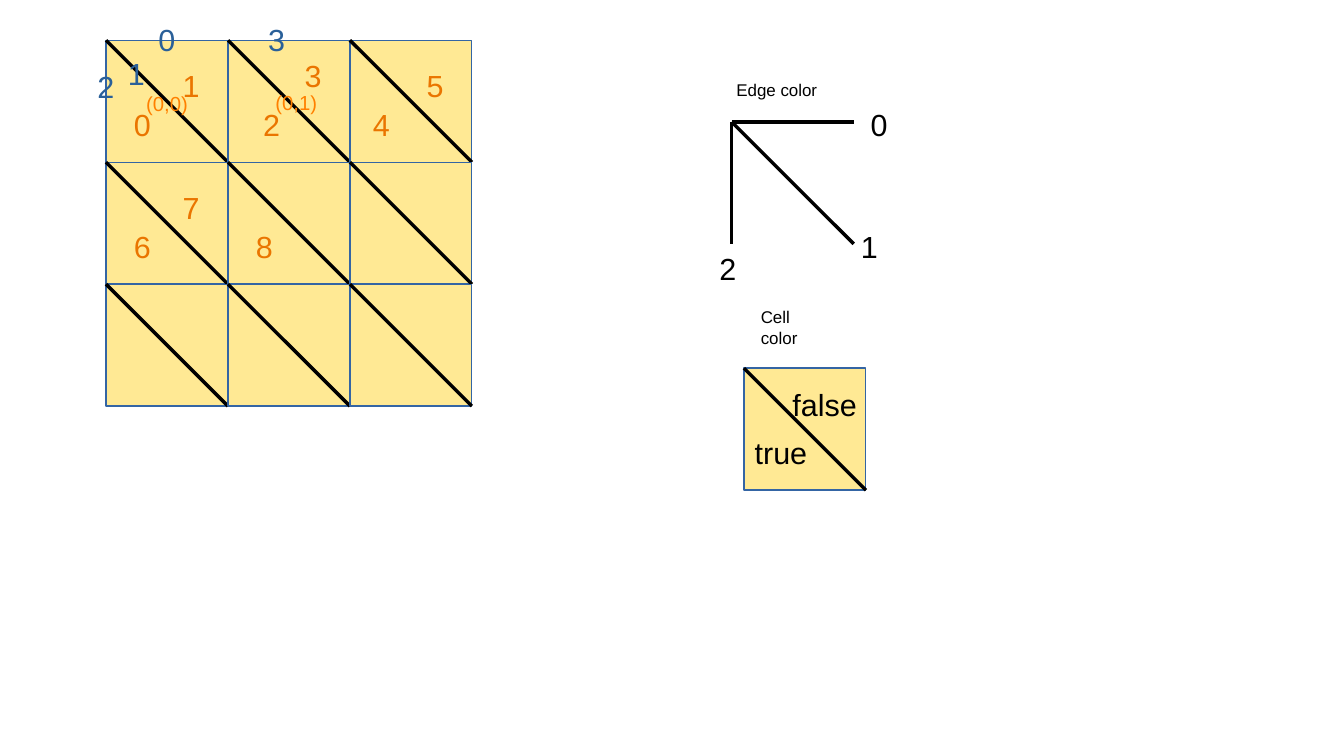
"""Draws a grid of split cells with numbered triangles and the edge and cell color keys."""
from itertools import product

from pptx import Presentation
from pptx.dml.color import RGBColor
from pptx.enum.shapes import MSO_CONNECTOR, MSO_SHAPE
from pptx.enum.text import MSO_ANCHOR, MSO_AUTO_SIZE
from pptx.oxml.ns import qn
from pptx.util import Pt

CELL = 72
GRID_LEFT, GRID_TOP = 62.6, 23.8
KEY_LEFT, KEY_TOP = 432, 72
SAMPLE_LEFT, SAMPLE_TOP = 439.2, 217.4
BLACK, ORANGE, BRIGHT_ORANGE, BLUE = "000000", "EA7500", "FF8000", "2A6099"
DIGIT_WIDTH = 24.5

CELL_NUMBERS = [
    ("0", 72, 59), ("1", 100.8, 36), ("2", 148.3, 59),
    ("3", 172.8, 30.2), ("4", 213.1, 59), ("5", 244.8, 36),
    ("6", 72, 131), ("7", 100.8, 108), ("8", 144, 131),
]
EDGE_NUMBERS = [("0", 86.4, 8.6), ("2", 50.4, 36.7), ("1", 68.4, 28.8), ("3", 151.2, 8.6)]
KEY_EDGES = [(CELL, 0), (CELL, CELL), (0, CELL)]
KEY_NUMBERS = [("0", 506.9, 59), ("1", 501.1, 131), ("2", 417.6, 144)]
COORDINATES = [("(0,0)", 79.2, 50.4), ("(0,1)", 155.5, 49.7)]
CAPTIONS = [("Edge color", 427.7, 44.6, 61.9), ("Cell color", 442.1, 190.8, 55.4)]
SAMPLE_VALUES = [("false", 460.8, 224.6, 52.6), ("true", 438.5, 252.7, 45.4)]


def color(value):
    return RGBColor.from_string(value)


def add_edge(slide, left, top, across, down):
    edge = slide.shapes.add_connector(
        MSO_CONNECTOR.STRAIGHT, Pt(left), Pt(top), Pt(left + across), Pt(top + down))
    edge.line.color.rgb = color(BLACK)
    edge.line.width = Pt(0)
    properties = edge._element.spPr
    properties.append(properties.makeelement(qn("a:effectLst"), {}))


def add_cell(slide, left, top):
    square = slide.shapes.add_shape(
        MSO_SHAPE.RECTANGLE, Pt(left), Pt(top), Pt(CELL), Pt(CELL))
    square.shadow.inherit = False
    square.fill.solid()
    square.fill.fore_color.rgb = color("FFE994")
    square.line.color.rgb = color("3465A4")
    square.line.width = Pt(0)
    add_edge(slide, left, top, CELL, CELL)


def add_label(slide, words, left, top, width=DIGIT_WIDTH, hue=BLACK, size=18,
              height=27.4, anchor=MSO_ANCHOR.TOP):
    label = slide.shapes.add_textbox(Pt(left), Pt(top), Pt(width), Pt(height))
    frame = label.text_frame
    frame.text = words
    frame.word_wrap = False
    frame.auto_size = MSO_AUTO_SIZE.SHAPE_TO_FIT_TEXT
    frame.vertical_anchor = anchor
    font = frame.paragraphs[0].runs[0].font
    font.name = "Arial"
    font.size = Pt(size)
    font.color.rgb = color(hue)


def add_grid(slide):
    for row, column in product(range(3), repeat=2):
        add_cell(slide, GRID_LEFT + column * CELL, GRID_TOP + row * CELL)
    for number, left, top in CELL_NUMBERS:
        add_label(slide, number, left, top, hue=ORANGE)
    for pair, left, top in COORDINATES:
        add_label(slide, pair, left, top, 38.9, BRIGHT_ORANGE, 12, 20.9)
    for number, left, top in EDGE_NUMBERS:
        add_label(slide, number, left, top, hue=BLUE)


def add_keys(slide):
    for across, down in KEY_EDGES:
        add_edge(slide, KEY_LEFT, KEY_TOP, across, down)
    for number, left, top in KEY_NUMBERS:
        add_label(slide, number, left, top)
    add_cell(slide, SAMPLE_LEFT, SAMPLE_TOP)
    for value, left, top, width in SAMPLE_VALUES:
        add_label(slide, value, left, top, width)
    for caption, left, top, width in CAPTIONS:
        add_label(slide, caption, left, top, width, size=10, height=18,
                  anchor=MSO_ANCHOR.BOTTOM)


def main():
    deck = Presentation()
    deck.slide_width, deck.slide_height = Pt(793.44), Pt(446.4)
    slide = deck.slides.add_slide(deck.slide_layouts[6])
    add_grid(slide)
    add_keys(slide)
    deck.save("out.pptx")


if __name__ == "__main__":
    main()
